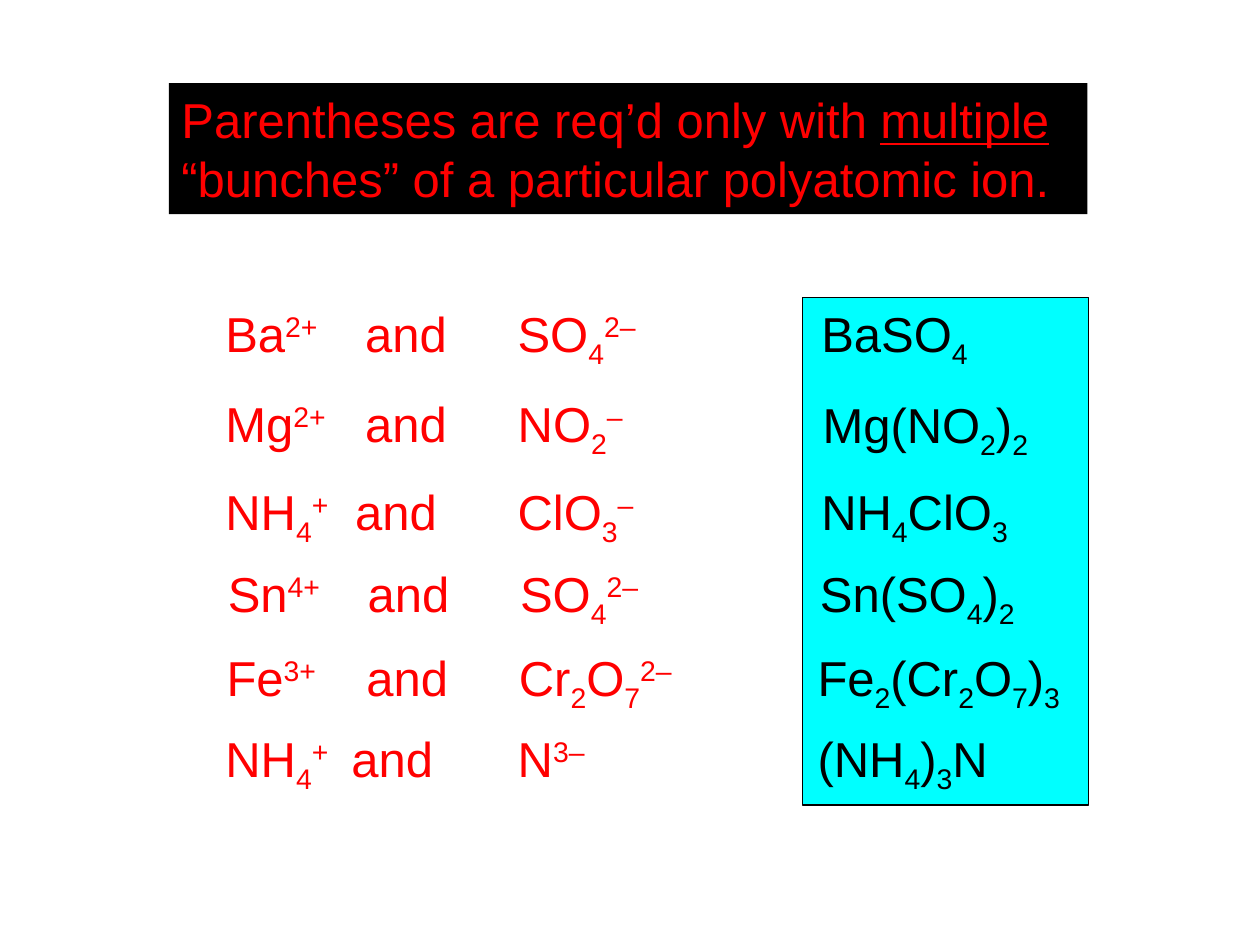
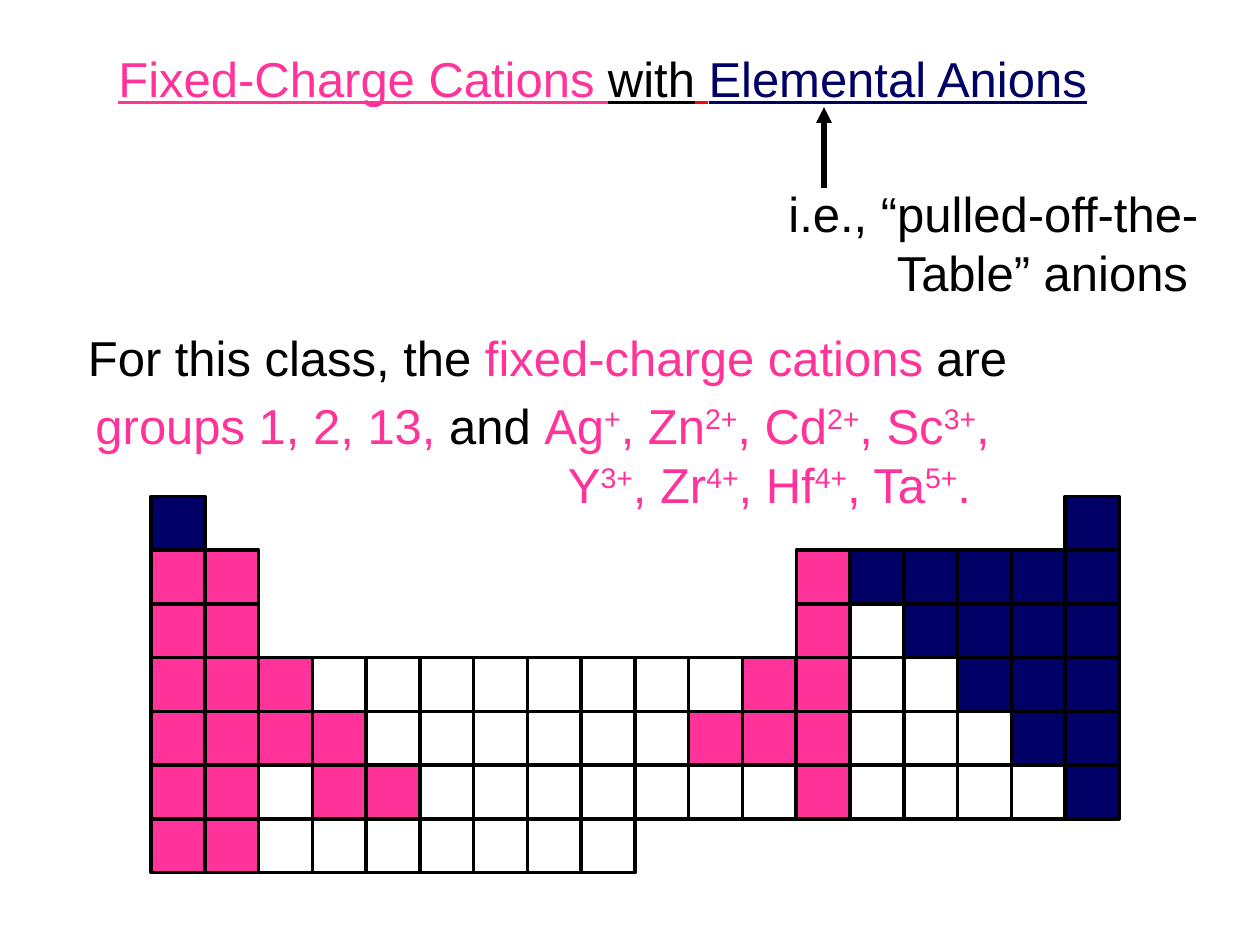
from dataclasses import dataclass
from typing import Optional

import pptx
import pptx.dml.color
import pptx.enum.shapes
import pptx.enum.text
import pptx.oxml.ns
import pptx.util
from lxml import etree
from pptx.util import Inches

RGBColor = pptx.dml.color.RGBColor
BLACK = RGBColor(0, 0, 0)
RED = RGBColor(0xFF, 0, 0)
CYAN = RGBColor(0, 0xFF, 0xFF)
PINK = RGBColor(0xFF, 0x33, 0x99)
NAVY = RGBColor(0, 0, 0x66)

FONT = "Arial"
FONT_SIZE = pptx.util.Pt(28)
BASELINES = {"_": "-25000", "^": "30000"}
LINE_HEIGHT = 0.57
TITLE_ONLY = 5


@dataclass(frozen=True)
class Span:
    """Text in one colour; pieces between bars are subscripts (_) or superscripts (^)."""
    text: str
    color: RGBColor = BLACK
    underline: bool = False


@dataclass(frozen=True)
class Line:
    spans: tuple[Span, ...]
    indent: float = 0
    tabs: tuple[float, ...] = ()


@dataclass(frozen=True)
class Box:
    left: float
    top: float
    width: float
    height: float = LINE_HEIGHT

    def lengths(self) -> tuple[int, int, int, int]:
        return (Inches(self.left), Inches(self.top),
                Inches(self.width), Inches(self.height))


@dataclass(frozen=True)
class IonPair:
    cation: str
    anion: str
    compound: str
    pair_box: Box
    compound_box: Box
    and_tab: float = 1.11


ANION_TAB = 2.32
ION_PAIRS = (
    IonPair("Ba|^2+", "SO|_4|^2–", "BaSO|_4",
            Box(1.69, 2.39, 3.64), Box(6.42, 2.39, 1.49)),
    IonPair("Mg|^2+", "NO|_2|^–", "Mg(NO|_2|)|_2",
            Box(1.69, 3.1, 3.51), Box(6.43, 3.11, 1.99)),
    IonPair("NH|_4|^+", "ClO|_3|^–", "NH|_4|ClO|_3",
            Box(1.69, 3.8, 3.6), Box(6.42, 3.8, 1.73), 1.03),
    IonPair("Sn|^4+", "SO|_4|^2–", "Sn(SO|_4|)|_2",
            Box(1.71, 4.45, 3.53), Box(6.41, 4.45, 1.9)),
    IonPair("Fe|^3+", "Cr|_2|O|_7|^2–", "Fe|_2|(Cr|_2|O|_7|)|_3",
            Box(1.7, 5.12, 3.94), Box(6.39, 5.12, 2.33)),
    IonPair("NH|_4|^+", "N|^3–", "(NH|_4|)|_3|N",
            Box(1.69, 5.76, 3.21), Box(6.39, 5.76, 1.71), 1.0),
)

# P: fixed-charge cation, N: elemental anion, o: any other element
PERIODIC_ROWS = (
    "N................N",
    "PP..........PNNNNN",
    "PP..........PoNNNN",
    "PPPooooooooPPooNNN",
    "PPPPooooooPPPoooNN",
    "PPoPPoooooooPooooN",
    "PPooooooo.........",
)
ELEMENT_FILLS: dict[str, Optional[RGBColor]] = {"P": PINK, "N": NAVY, "o": None}
TABLE_LEFT, TABLE_TOP = Inches(1.2), Inches(3.94)
CELL = Inches(7.68) / 18


def add_span(p, span: Span) -> None:
    for piece in span.text.split("|"):
        baseline = BASELINES.get(piece[0])
        r = p.add_run()
        r.text = piece[1:] if baseline else piece
        r.font.name = FONT
        r.font.size = FONT_SIZE
        r.font.color.rgb = span.color
        if span.underline:
            r.font.underline = True
        if baseline:
            r._r.get_or_add_rPr().set("baseline", baseline)


def write_lines(s, box: Box, *lines: Line) -> None:
    s.left, s.top, s.width, s.height = box.lengths()
    tf = s.text_frame
    tf.word_wrap = True
    tf.auto_size = pptx.enum.text.MSO_AUTO_SIZE.NONE
    tf.vertical_anchor = pptx.enum.text.MSO_ANCHOR.MIDDLE
    for i, line in enumerate(lines):
        p = tf.add_paragraph() if i else tf.paragraphs[0]
        p.alignment = pptx.enum.text.PP_ALIGN.LEFT
        pPr = p._p.get_or_add_pPr()
        if line.indent:
            pPr.set("marL", str(Inches(line.indent)))
            pPr.set("indent", "0")
        if line.tabs:
            tab_list = etree.SubElement(pPr, pptx.oxml.ns.qn("a:tabLst"))
            for tab in line.tabs:
                etree.SubElement(tab_list, pptx.oxml.ns.qn("a:tab"),
                                 pos=str(Inches(tab)), algn="l")
        for span in line.spans:
            add_span(p, span)


def add_text(shapes, box: Box, *lines: Line) -> None:
    write_lines(shapes.add_textbox(*box.lengths()), box, *lines)


def add_rect(shapes, lengths: tuple[int, int, int, int],
             fill: Optional[RGBColor], line_width: float) -> None:
    s = shapes.add_shape(pptx.enum.shapes.MSO_SHAPE.RECTANGLE, *lengths)
    s.shadow.inherit = False
    if fill is None:
        s.fill.background()
    else:
        s.fill.solid()
        s.fill.fore_color.rgb = fill
    s.line.color.rgb = BLACK
    s.line.width = pptx.util.Pt(line_width)


def add_arrow(shapes, x: float, start_y: float, end_y: float) -> None:
    c = shapes.add_connector(pptx.enum.shapes.MSO_CONNECTOR.STRAIGHT,
                             Inches(x), Inches(start_y), Inches(x), Inches(end_y))
    c.line.color.rgb = BLACK
    c.line.width = pptx.util.Pt(3)
    etree.SubElement(c.line._get_or_add_ln(), pptx.oxml.ns.qn("a:tailEnd"),
                     type="triangle")
    etree.SubElement(c._element.spPr, pptx.oxml.ns.qn("a:effectLst"))


def add_periodic_table(shapes) -> None:
    cells = shapes.add_group_shape().shapes
    for row, symbols in enumerate(PERIODIC_ROWS):
        for col, symbol in enumerate(symbols):
            if symbol in ELEMENT_FILLS:
                lengths = (round(TABLE_LEFT + col * CELL),
                           round(TABLE_TOP + row * CELL), round(CELL), round(CELL))
                add_rect(cells, lengths, ELEMENT_FILLS[symbol], 2)


def build_parentheses_slide(prs) -> None:
    shapes = prs.slides.add_slide(prs.slide_layouts[TITLE_ONLY]).shapes
    title = shapes.title
    write_lines(
        title, Box(1.34, 0.66, 7.29, 1.04),
        Line((Span("Parentheses are req’d only with ", RED),
              Span("multiple", RED, underline=True))),
        Line((Span("“bunches” of a particular polyatomic ion.", RED),)))
    title.fill.solid()
    title.fill.fore_color.rgb = BLACK

    add_rect(shapes, Box(6.37, 2.36, 2.27, 4.03).lengths(), CYAN, 0.75)
    for pair in ION_PAIRS:
        ions = Span(f"{pair.cation}|\tand\t{pair.anion}", RED)
        add_text(shapes, pair.pair_box, Line((ions,), tabs=(pair.and_tab, ANION_TAB)))
        add_text(shapes, pair.compound_box, Line((Span(pair.compound),)))


def build_fixed_charge_slide(prs) -> None:
    shapes = prs.slides.add_slide(prs.slide_layouts[TITLE_ONLY]).shapes
    write_lines(
        shapes.title, Box(0.84, 0.33, 7.99),
        Line((Span("Fixed-Charge Cations ", PINK, True), Span("with", BLACK, True),
              Span(" ", RED, True), Span("Elemental Anions", NAVY, True))))
    add_text(shapes, Box(0.6, 2.55, 7.7),
             Line((Span("For this class, the "), Span("fixed-charge cations ", PINK),
                   Span("are"))))
    add_periodic_table(shapes)
    add_text(shapes, Box(0.66, 3.08, 7.5, 1.05),
             Line((Span("groups 1, 2, 13, ", PINK), Span("and "),
                   Span("Ag|^+|, Zn|^2+|, Cd|^2+|, Sc|^3+|,", PINK))),
             Line((Span("Y|^3+|, Zr|^4+|, Hf|^4+|, Ta|^5+|.", PINK),), indent=3.75))
    add_text(shapes, Box(6.16, 1.41, 3.53, 1.03),
             Line((Span("i.e., “pulled-off-the-"),)),
             Line((Span("Table” anions"),), indent=0.86))
    add_arrow(shapes, 6.54, 1.49, 0.85)


def main() -> None:
    prs = pptx.Presentation()
    prs.slide_width, prs.slide_height = Inches(10), Inches(7.5)
    build_parentheses_slide(prs)
    build_fixed_charge_slide(prs)
    prs.save("out.pptx")


if __name__ == "__main__":
    main()
